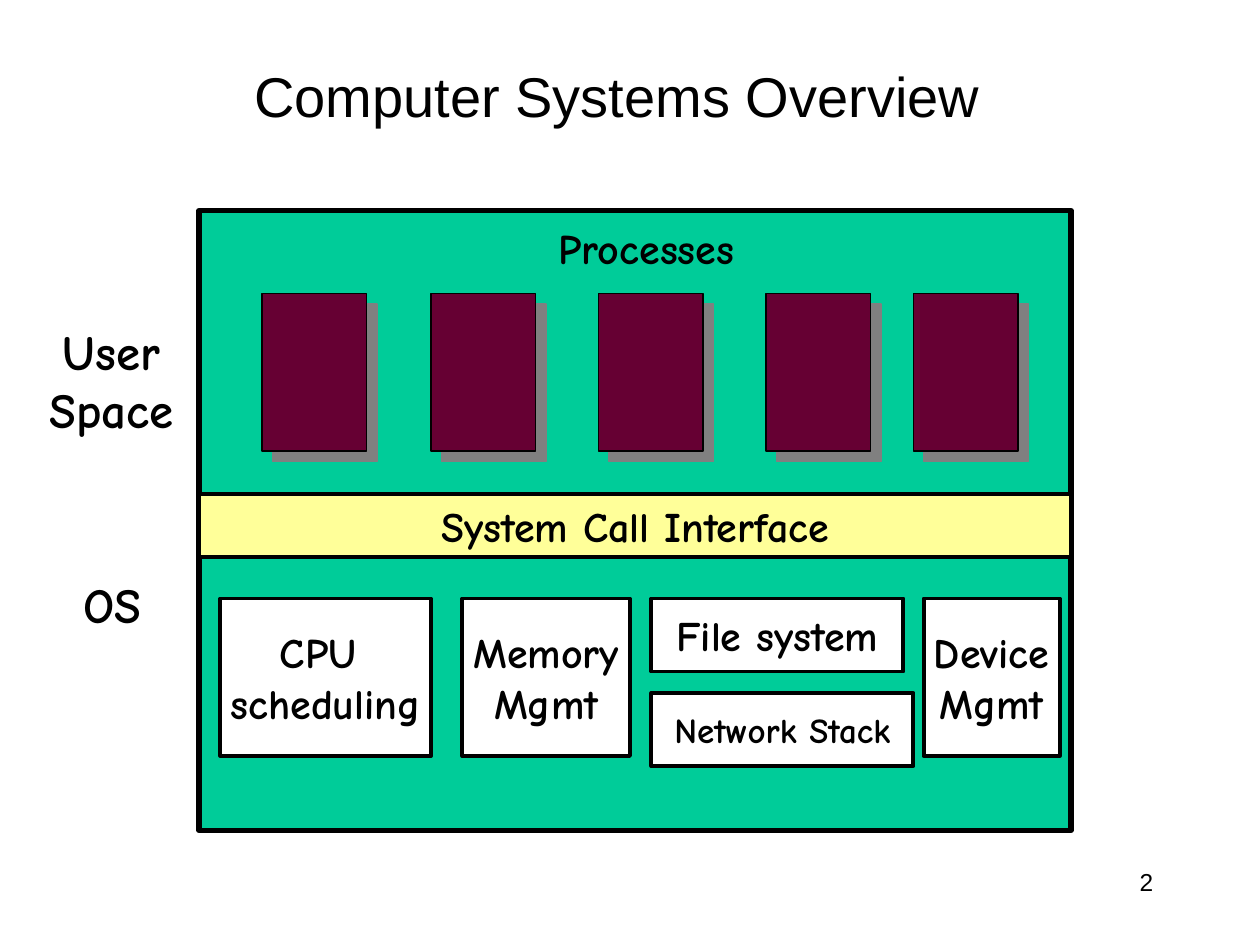
from dataclasses import dataclass

from lxml.etree import SubElement
from pptx import Presentation
from pptx.dml.color import RGBColor
from pptx.enum.shapes import MSO_SHAPE
from pptx.enum.text import MSO_ANCHOR, PP_ALIGN
from pptx.oxml.ns import qn
from pptx.util import Inches, Pt

BLACK, WHITE, GREEN = "000000", "FFFFFF", "00CC99"
YELLOW, MAROON, GRAY = "FFFF99", "660033", "808080"
COMIC = {"name": "Comic Neue", "bold": True}
ARIAL = {"name": "Arial", "bold": False}


@dataclass
class Box:
    left: float
    top: float
    width: float
    height: float
    text: str = ""
    size: int = 24
    fill: str = WHITE
    line: float = 2.25


@dataclass
class Label:
    left: float
    top: float
    width: float
    height: float
    text: str
    size: int


def color(value: str) -> RGBColor:
    return RGBColor.from_string(value)


def place(shape, item) -> None:
    for name in ("left", "top", "width", "height"):
        setattr(shape, name, Inches(getattr(item, name)))


def write(shape, text: str, size: int, font: dict, alignment=PP_ALIGN.CENTER,
          anchor=MSO_ANCHOR.MIDDLE, wrap: bool = False) -> None:
    frame = shape.text_frame
    frame.text = text
    frame.word_wrap = wrap
    frame.vertical_anchor = anchor
    for paragraph in frame.paragraphs:
        paragraph.alignment = alignment
        for run in paragraph.runs:
            for name, value in {"size": Pt(size), **font}.items():
                setattr(run.font, name, value)
            run.font.color.rgb = color(BLACK)


def add_box(slide, box: Box):
    shape = slide.shapes.add_shape(
        MSO_SHAPE.RECTANGLE, Inches(box.left), Inches(box.top),
        Inches(box.width), Inches(box.height))
    shape.shadow.inherit = False
    shape.fill.solid()
    shape.fill.fore_color.rgb = color(box.fill)
    shape.line.color.rgb = color(BLACK)
    shape.line.width = Pt(box.line)
    if box.text:
        write(shape, box.text, box.size, COMIC)
    return shape


def add_label(slide, label: Label, font: dict, **layout) -> None:
    shape = slide.shapes.add_textbox(0, 0, 0, 0)
    place(shape, label)
    write(shape, label.text, label.size, font, anchor=MSO_ANCHOR.TOP, **layout)


def add_shadow(shape) -> None:
    effects = shape._element.spPr.find(qn("a:effectLst"))
    shadow = SubElement(effects, qn("a:outerShdw"), blurRad="0",
                        dist=str(Pt(8.5)), dir=str(45 * 60000),
                        algn="ctr", rotWithShape="0")
    SubElement(shadow, qn("a:srgbClr"), val=GRAY)


presentation = Presentation()
presentation.slide_width, presentation.slide_height = Inches(10), Inches(7.5)
slide = presentation.slides.add_slide(presentation.slide_layouts[5])

title = Label(0.75, 0.42, 8.42, 0.67, "Computer Systems Overview ", 32)
place(slide.shapes.title, title)
write(slide.shapes.title, title.text, title.size, ARIAL, wrap=True)

add_box(slide, Box(1.58, 1.67, 6.92, 4.92, fill=GREEN, line=3))

for left in (2.08, 3.42, 4.75, 6.08, 7.25):
    add_shadow(add_box(slide, Box(left, 2.33, 0.83, 1.25, fill=MAROON, line=0.75)))

for box in (
    Box(1.75, 4.75, 1.67, 1.25, "CPU \nscheduling"),
    Box(3.67, 4.75, 1.33, 1.25, "Memory\nMgmt"),
    Box(5.17, 4.75, 2, 0.58, "File system"),
    Box(7.33, 4.75, 1.08, 1.25, "Device\nMgmt"),
    Box(5.17, 5.5, 2.08, 0.58, "Network Stack", 20),
    Box(1.58, 3.92, 6.92, 0.5, "System Call Interface", fill=YELLOW),
):
    add_box(slide, box)

for label in (
    Label(0.23, 2.5, 1.31, 1.03, "User\nSpace", 28),
    Label(0.5, 4.51, 0.78, 0.57, "OS", 28),
    Label(4.26, 1.72, 1.74, 0.5, "Processes", 24),
):
    add_label(slide, label, COMIC)

add_label(slide, Label(7.17, 6.83, 2.08, 0.5, "2", 14), ARIAL,
          alignment=PP_ALIGN.RIGHT, wrap=True)

presentation.save("out.pptx")
